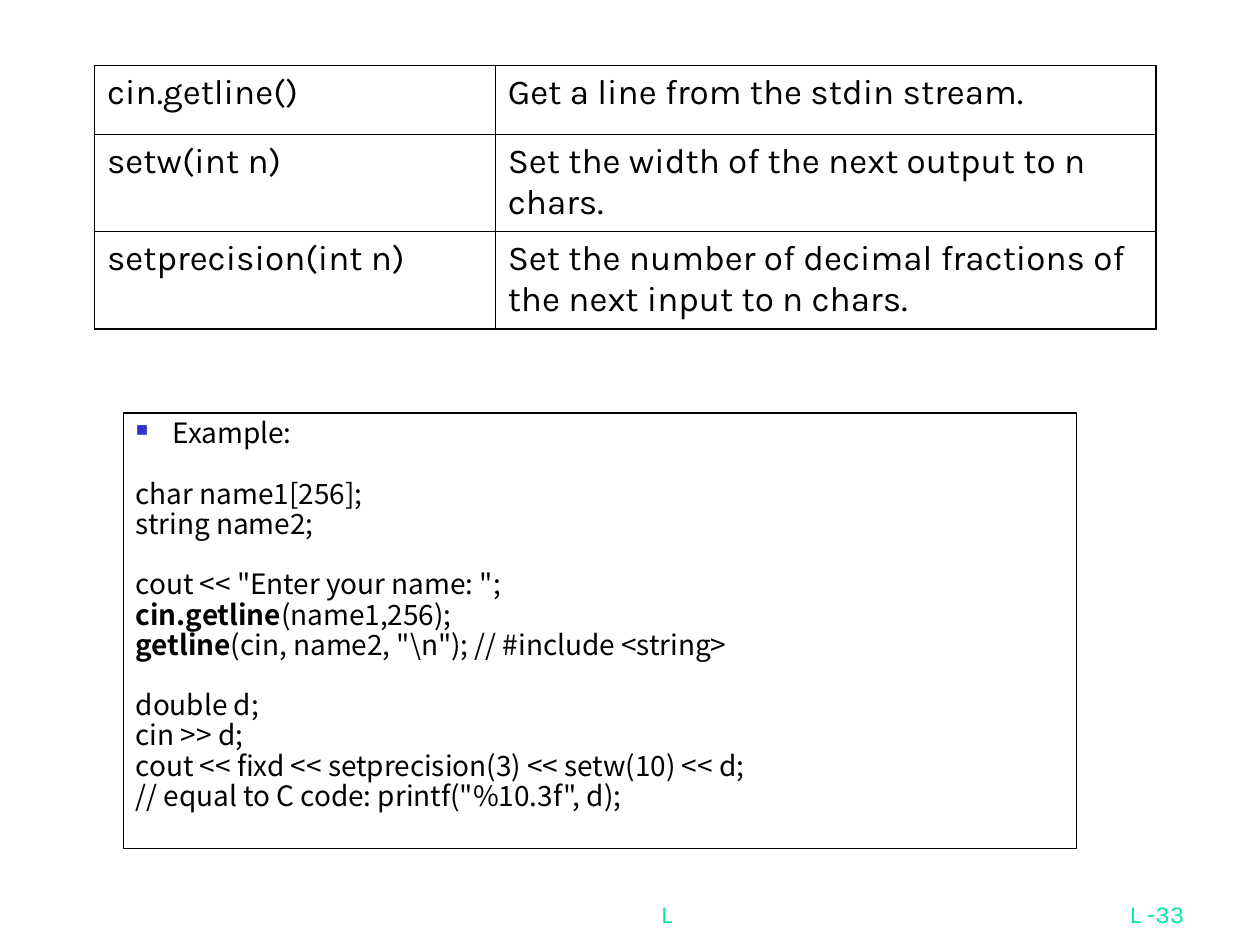
from lxml.etree import SubElement
from pptx import Presentation
from pptx.dml.color import RGBColor
from pptx.enum.shapes import MSO_SHAPE
from pptx.enum.text import MSO_ANCHOR, PP_ALIGN
from pptx.oxml.ns import qn
from pptx.util import Pt

BLACK, MINT, BLUE = "000000", "00E4A8", "3333CC"
LINE_PITCH = 17.25
FUNCTIONS = [
    ("cin.getline()", "Get a line from the stdin stream."),
    ("setw(int n)", "Set the width of the next output to n chars."),
    ("setprecision(int n)", "Set the number of decimal fractions of the next input to n chars."),
]
CODE_GROUPS = [
    [("", "char name1[256];"), ("", "string name2;")],
    [
        ("", 'cout << "Enter your name: ";'),
        ("cin.getline", "(name1,256);"),
        ("getline", r'(cin, name2, "\n"); // #include <string>'),
    ],
    [
        ("", "double d;"),
        ("", "cin >> d;"),
        ("", "cout << fixd << setprecision(3) << setw(10) << d;"),
        ("", '// equal to C code: printf("%10.3f", d);'),
    ],
]


def color(value):
    """Turn a hex string into a colour."""
    return RGBColor.from_string(value)


def set_all(target, values):
    """Set every attribute named in a dict."""
    for name, value in values.items():
        setattr(target, name, value)


def add_run(paragraph, text, size, typeface, ink, bold=False):
    """Add a formatted run to a paragraph."""
    run = paragraph.add_run()
    run.text = text
    set_all(run.font, {"size": Pt(size), "name": typeface, "bold": bold})
    run.font.color.rgb = color(ink)
    for script in ("a:ea", "a:cs"):
        SubElement(run.font._element, qn(script), typeface=typeface)


def add_footer(slide, text, left, width, alignment):
    """Add a bottom-anchored footer text."""
    footer = slide.shapes.add_textbox(Pt(left), Pt(498), Pt(width), Pt(36)).text_frame
    set_all(footer, {"word_wrap": True, "vertical_anchor": MSO_ANCHOR.BOTTOM})
    footer.paragraphs[0].alignment = alignment
    add_run(footer.paragraphs[0], text, 14, "Karla", MINT)


def add_borders(cell, outer_sides):
    """Draw cell borders, heavier on the outer sides of the table."""
    properties = cell._tc.get_or_add_tcPr()
    for side in "LRTB":
        weight = Pt(1.08 if side in outer_sides else 0.45)
        border = SubElement(properties, qn(f"a:ln{side}"), w=str(int(weight)))
        ink = SubElement(border, qn("a:solidFill"))
        SubElement(ink, qn("a:srgbClr"), val=BLACK)


def add_function_table(slide):
    """Add the table of functions and their descriptions."""
    table = slide.shapes.add_table(3, 2, Pt(54), Pt(37.5), Pt(606.5), Pt(150.5)).table
    set_all(table, {"first_row": False, "horz_banding": False})
    for column, width in zip(table.columns, (229, 377.5)):
        column.width = Pt(width)
    for row, height in zip(table.rows, (39.5, 55.5, 55.5)):
        row.height = Pt(height)
    for row_index, entries in enumerate(FUNCTIONS):
        for column_index, text in enumerate(entries):
            cell = table.cell(row_index, column_index)
            add_run(cell.text_frame.paragraphs[0], text, 20, "Karla", BLACK)
            add_borders(cell, "LR"[column_index] + ("T", "", "B")[row_index])
            cell.fill.background()


def add_square_bullet(paragraph):
    """Give a paragraph a small blue square bullet with a hanging indent."""
    properties = paragraph._p.get_or_add_pPr()
    hanging = int(Pt(21))
    properties.set("marL", str(hanging))
    properties.set("indent", str(-hanging))
    ink = SubElement(properties, qn("a:buClr"))
    SubElement(ink, qn("a:srgbClr"), val=BLUE)
    SubElement(properties, qn("a:buSzPct"), val="60000")
    SubElement(properties, qn("a:buChar"), char="■")


def add_code_line(frame, bold_text, plain_text, gap):
    """Add a line of code below an optional gap."""
    line = frame.add_paragraph()
    set_all(line, {
        "alignment": PP_ALIGN.LEFT,
        "line_spacing": Pt(LINE_PITCH),
        "space_before": Pt(gap),
    })
    for text, bold in ((bold_text, True), (plain_text, False)):
        if text:
            add_run(line, text, 16, "Noto Sans CJK SC", BLACK, bold)


def add_example(slide):
    """Add the outlined box with the code example."""
    example = slide.shapes.add_shape(MSO_SHAPE.RECTANGLE, Pt(70.5), Pt(236), Pt(544.5), Pt(249))
    example.shadow.inherit = False
    example.fill.background()
    example.line.color.rgb = color(BLACK)
    example.line.width = Pt(0.75)
    frame = example.text_frame
    set_all(frame, {"word_wrap": True, "vertical_anchor": MSO_ANCHOR.TOP})
    heading = frame.paragraphs[0]
    set_all(heading, {"alignment": PP_ALIGN.LEFT, "line_spacing": Pt(LINE_PITCH)})
    add_square_bullet(heading)
    add_run(heading, "Example:", 16, "Noto Sans CJK SC", BLACK)
    for group in CODE_GROUPS:
        for index, (bold_text, plain_text) in enumerate(group):
            add_code_line(frame, bold_text, plain_text, 0 if index else LINE_PITCH)


def main():
    """Build and save the slide."""
    deck = Presentation()
    set_all(deck, {"slide_width": Pt(720), "slide_height": Pt(540)})
    slide = deck.slides.add_slide(deck.slide_layouts[6])
    add_footer(slide, "L", 186, 390, PP_ALIGN.CENTER)
    add_footer(slide, "L -33", 534, 150, PP_ALIGN.RIGHT)
    add_function_table(slide)
    add_example(slide)
    deck.save("out.pptx")


if __name__ == "__main__":
    main()
